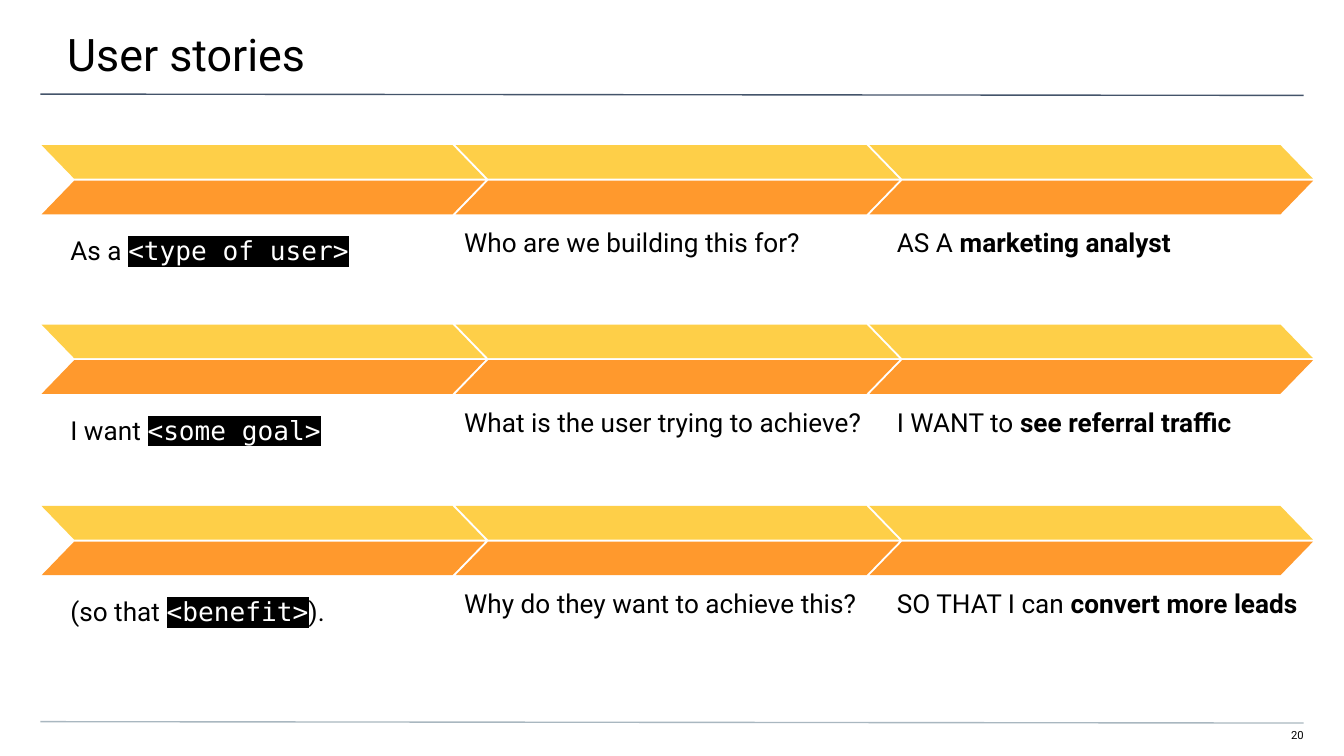
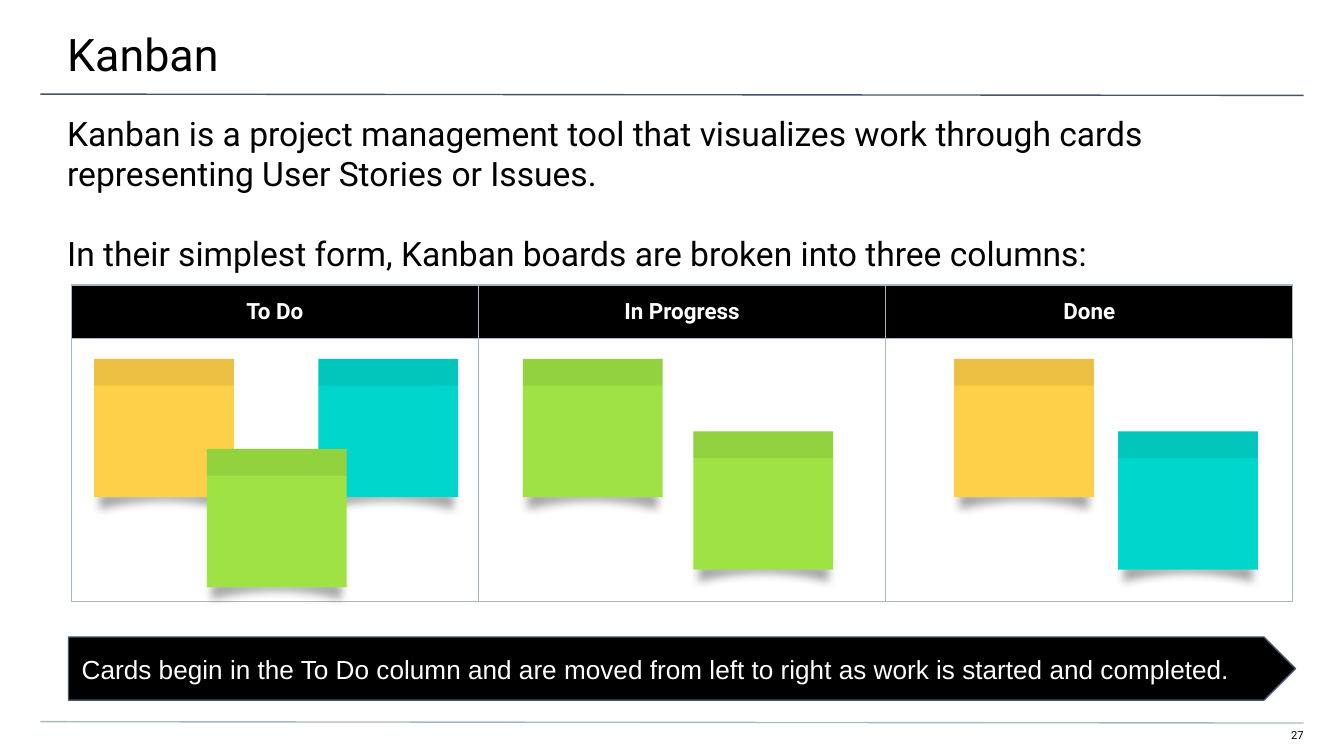
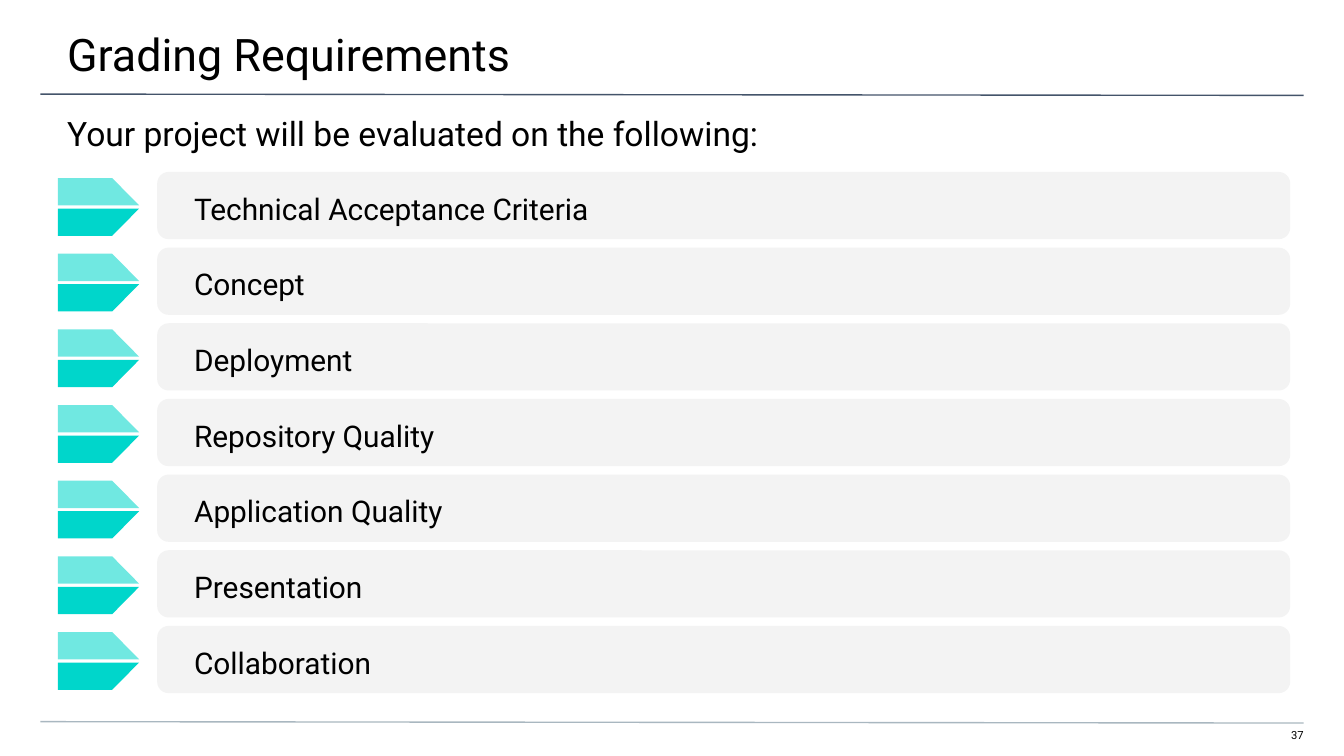
from lxml import etree
from pptx import Presentation
from pptx import util as u
from pptx.dml.color import RGBColor
from pptx.enum import shapes, text
from pptx.oxml.ns import qn

COLORS = {
    "black": "000000", "white": "FFFFFF", "navy": "44546A", "gray": "A9B7C0",
    "yellow": "FECF48", "orange": "FF992D", "teal": "00D6CB", "green": "9EE244",
    "shade": "BDBDBD", "panel": "F3F3F3",
}
CELL = u.Inches(0.1)
COLUMNS, ROWS = 100, 56.25
FORM = shapes.MSO_SHAPE
ALIGN = text.PP_ALIGN
ANCHOR = text.MSO_ANCHOR


def grid(*lengths):
    return [u.Emu(round(length * CELL)) for length in lengths]


def rgb(name):
    return RGBColor.from_string(COLORS[name])


def add_color(parent, name, alpha=None):
    color = etree.SubElement(parent, qn("a:srgbClr"), val=COLORS[name])
    if alpha is not None:
        etree.SubElement(color, qn("a:alpha"), val=str(alpha * 1000))


class Slides:
    def __init__(self):
        self.deck = Presentation()
        self.deck.slide_width, self.deck.slide_height = grid(COLUMNS, ROWS)
        self.page = None

    def start(self, title, number):
        self.page = self.deck.slides.add_slide(self.deck.slide_layouts[6])
        self.label(94.1, 54.2, 2.9, 1.2, [[number]], size=6, align=ALIGN.RIGHT,
                   insets=(0, 0, 0, 1))
        self.line(7, "navy")
        self.line(53.7, "gray")
        self.label(0, 0, COLUMNS, 5.8, [[title]], size=24, insets=(5, 2, 3, 1))

    def line(self, top, color):
        line = self.page.shapes.add_connector(
            shapes.MSO_CONNECTOR.STRAIGHT, *grid(3, top, 97, top + 0.1))
        line.line.color.rgb = rgb(color)
        line.line.width = u.Pt(0.75)
        etree.SubElement(line.element.spPr, qn("a:effectLst"))

    def paint(self, shape, color, alpha=None, outline=None):
        shape.shadow.inherit = False
        shape.fill.solid()
        shape.fill.fore_color.rgb = rgb(color)
        if alpha is not None:
            fill = shape.element.spPr.find(qn("a:solidFill"))
            fill.clear()
            add_color(fill, color, alpha)
        if outline:
            shape.line.color.rgb = rgb(outline)
            shape.line.width = u.Pt(0.75)
        else:
            shape.line.fill.background()
        return shape

    def shape(self, form, left, top, width, height, color, adjust=None, flip=False, **look):
        shape = self.page.shapes.add_shape(form, *grid(left, top, width, height))
        if adjust is not None:
            shape.adjustments[0] = adjust
        if flip:
            shape.element.spPr.find(qn("a:xfrm")).set("flipH", "1")
        return self.paint(shape, color, **look)

    def outline(self, points, color, alpha=None):
        first, *rest = [tuple(grid(*point)) for point in points]
        builder = self.page.shapes.build_freeform(*first)
        builder.add_line_segments(rest)
        return self.paint(builder.convert_to_shape(), color, alpha)

    def set_text(self, frame, paragraphs, size, color="black", font="Roboto", bold=None,
                 align=ALIGN.LEFT, spacing=None, gap=0):
        for index, spans in enumerate(paragraphs):
            para = frame.add_paragraph() if index else frame.paragraphs[0]
            para.alignment = align
            if spacing:
                para.line_spacing = spacing
            if index:
                para.space_before = u.Pt(gap)
            para.font.name = font
            para.font.size = u.Pt(size)
            para.font.bold = bold
            para.font.color.rgb = rgb(color)
            for words in spans:
                words, style = words if isinstance(words, tuple) else (words, None)
                span = para.add_run()
                span.text = words
                if style == "bold":
                    span.font.bold = True
                elif style == "code":
                    self.mark_code(span)

    def mark_code(self, span):
        span.font.name = "DejaVu Sans Mono"
        span.font.color.rgb = rgb("white")
        highlight = etree.Element(qn("a:highlight"))
        add_color(highlight, "black")
        span._r.rPr.find(qn("a:solidFill")).addnext(highlight)

    def fit(self, shape, insets, anchor):
        frame = shape.text_frame
        frame.word_wrap = True
        frame.vertical_anchor = anchor
        (frame.margin_left, frame.margin_top,
         frame.margin_right, frame.margin_bottom) = grid(*insets)
        return frame

    def label(self, left, top, width, height, paragraphs, insets=(1, 1, 1, 0), **style):
        box = self.page.shapes.add_textbox(*grid(left, top, width, height))
        self.set_text(self.fit(box, insets, ANCHOR.TOP), paragraphs, **style)

    def body(self, *paragraphs):
        self.label(0, 7.4, COLUMNS, 4, [[words] for words in paragraphs],
                   insets=(5, 1, 5, 0), size=18, gap=21)

    def panel(self, shape, words, inset, **style):
        self.set_text(self.fit(shape, (inset, 1, 1, 1), ANCHOR.MIDDLE), [[words]], **style)

    def board(self, left, top, width, heights, headings):
        table = self.page.shapes.add_table(
            len(heights), len(headings), *grid(left, top, width, sum(heights))).table
        table.first_row = table.horz_banding = False
        for row, height in zip(table.rows, grid(*heights)):
            row.height = height
        for cell in table.iter_cells():
            self.border(cell)
            cell.fill.background()
        for cell, heading in zip(table.rows[0].cells, headings):
            cell.fill.solid()
            cell.fill.fore_color.rgb = rgb("black")
            cell.vertical_anchor = ANCHOR.MIDDLE
            cell.margin_top = cell.margin_bottom = CELL
            self.set_text(cell.text_frame, [[heading]], size=12, color="white", bold=True,
                          align=ALIGN.CENTER)

    def border(self, cell):
        properties = cell._tc.get_or_add_tcPr()
        for side in ("a:lnL", "a:lnR", "a:lnT", "a:lnB"):
            edge = etree.SubElement(properties, qn(side), w=str(u.Pt(0.75)))
            add_color(etree.SubElement(edge, qn("a:solidFill")), "gray")

    def ribbon(self, left, top):
        for offset, color, flip in ((0, "yellow", True), (2.65, "orange", False)):
            self.shape(FORM.PARALLELOGRAM, left, top + offset, 33, 2.5, color,
                       adjust=0.97, flip=flip)

    def note(self, left, top, color):
        curve = [(4.8 + 0.47 * step, 0.6 + 0.006 * step ** 2) for step in range(10, -11, -1)]
        points = [(0, 0), (9.6, 0), (9.6, 1.2), *curve, (0, 1.2)]
        curl = self.outline([(left + 0.4 + x, top + 9 + y) for x, y in points], "shade")
        effects = curl.element.spPr.find(qn("a:effectLst"))
        shadow = etree.SubElement(effects, qn("a:outerShdw"), blurRad=str(u.Pt(5)),
                                  dist=str(u.Pt(7)), dir="5400000", algn="bl",
                                  rotWithShape="0")
        add_color(shadow, "black", 34)
        self.shape(FORM.RECTANGLE, left, top, 10.4, 10.3, color)
        self.shape(FORM.RECTANGLE, left, top, 10.4, 2, "black", alpha=7)

    def arrow(self, left, top):
        middle = top + 2.15
        for side, alpha in ((-1, 56), (1, None)):
            inner, outer = middle + side * 0.12, middle + side * 2.15
            self.outline([(left, outer), (left, inner), (left + 6.05, inner),
                          (left + 4.05, outer)], "teal", alpha)


def user_stories(slides):
    slides.start("User stories", "20")
    stories = (
        (10.8, ["As a ", ("<type of user>", "code")],
         ["Who are we building this for?"],
         ["AS A ", ("marketing analyst", "bold")]),
        (24.15, ["I want ", ("<some goal>", "code")],
         ["What is the user trying to achieve?"],
         ["I WANT to ", ("see referral traffic", "bold")]),
        (37.65, ["(so that ", ("<benefit>", "code"), ")."],
         ["Why do they want to achieve this?"],
         ["SO THAT I can ", ("convert more leads", "bold")]),
    )
    for top, template, question, example in stories:
        for column in range(3):
            slides.ribbon(3.1 + 30.8 * column, top)
        slides.label(4.25, top + 5.3, 28.5, 4.1, [template], size=14, spacing=1.15)
        slides.label(33.55, top + 5.05, 34.9, 4.1, [question], size=14)
        slides.label(65.75, top + 5.05, 33.6, 4.1, [example], size=14)


def kanban(slides):
    slides.start("Kanban", "27")
    slides.body(
        "Kanban is a project management tool that visualizes work through cards "
        "representing User Stories or Issues.",
        "In their simplest form, Kanban boards are broken into three columns:")
    slides.board(5.3, 21.2, 90.9, (3.95, 19.55), ("To Do", "In Progress", "Done"))
    banner = slides.shape(FORM.PENTAGON, 5.1, 47.4, 91.3, 4.7, "black", adjust=0.5,
                          outline="navy")
    slides.panel(banner, "Cards begin in the To Do column and are moved from left to right "
                 "as work is started and completed.", 1, size=14, color="white", font="Arial")
    for left, top, color in (
            (7, 26.7, "yellow"), (23.7, 26.7, "teal"), (15.4, 33.4, "green"),
            (38.9, 26.7, "green"), (51.6, 32.1, "green"),
            (83.2, 32.1, "teal"), (71, 26.7, "yellow")):
        slides.note(left, top, color)


def grading(slides):
    slides.start("Grading Requirements", "37")
    criteria = ("Technical Acceptance Criteria", "Concept", "Deployment",
                "Repository Quality", "Application Quality", "Presentation",
                "Collaboration")
    for index, criterion in enumerate(criteria):
        top = 12.8 + 5.63 * index
        bar = slides.shape(FORM.ROUNDED_RECTANGLE, 11.7, top, 84.3, 5, "panel", adjust=0.17)
        slides.panel(bar, criterion, 2.5, size=16, spacing=1.15)
        slides.arrow(4.3, top + 0.45)
    slides.body("Your project will be evaluated on the following:")


def main():
    slides = Slides()
    user_stories(slides)
    kanban(slides)
    grading(slides)
    slides.deck.save("out.pptx")


if __name__ == "__main__":
    main()
